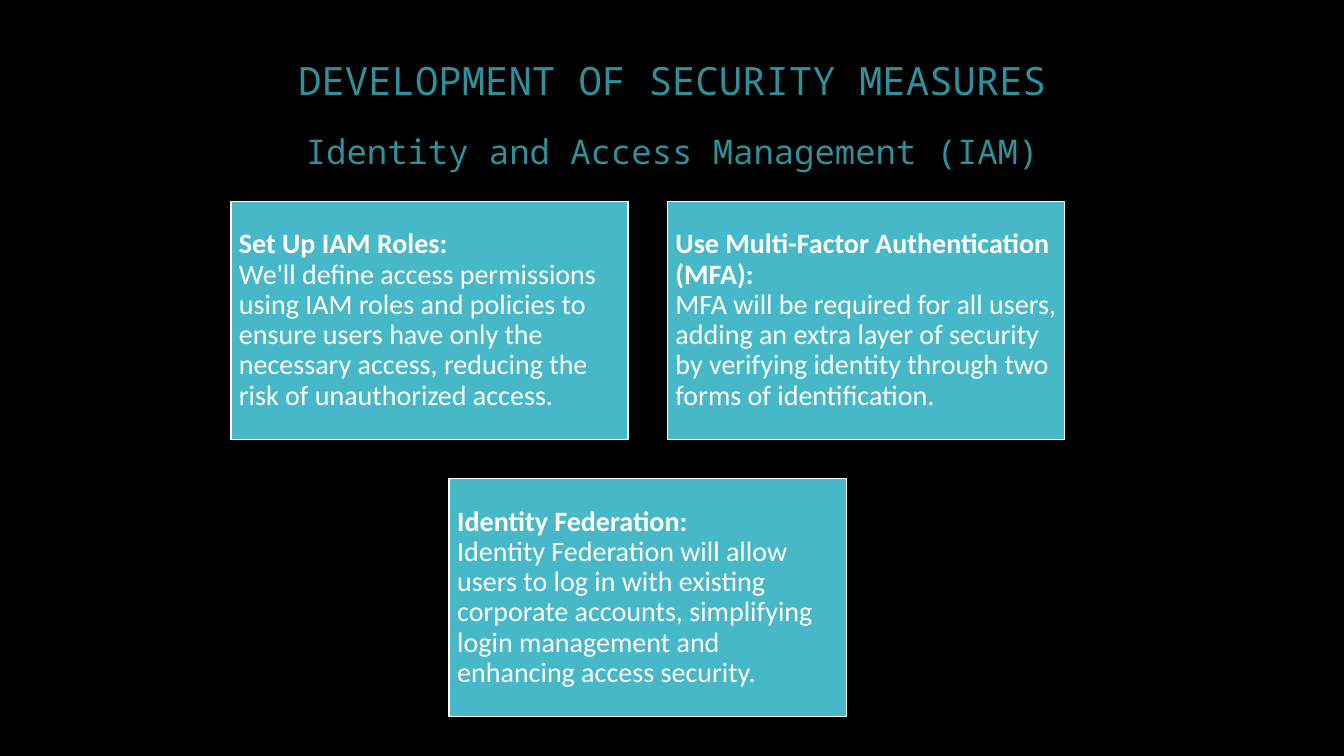
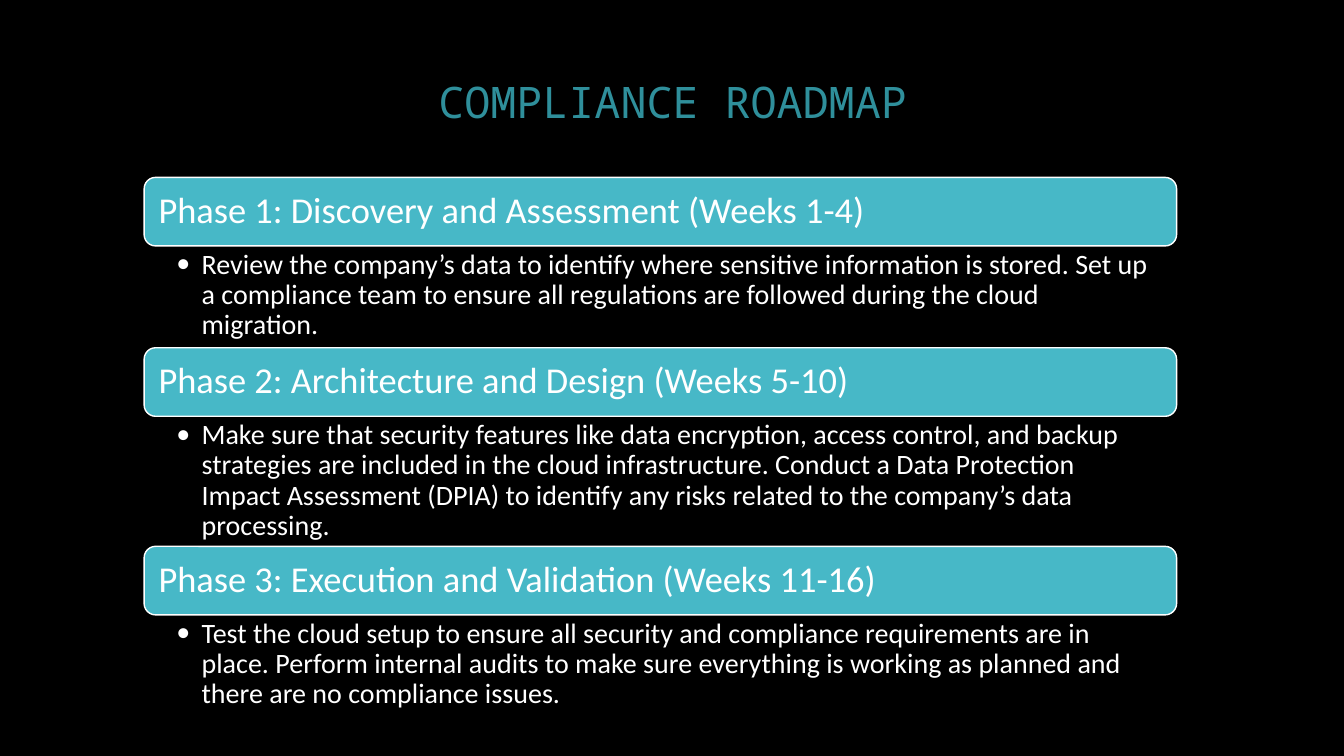
from lxml.etree import SubElement
from pptx import Presentation
from pptx.dml.color import RGBColor
from pptx.enum.shapes import MSO_SHAPE
from pptx.enum.text import MSO_ANCHOR, PP_ALIGN
from pptx.oxml.ns import qn
from pptx.util import Inches, Pt

CARDS = [
    (0, 0, "Set Up IAM Roles:",
     "We'll define access permissions using IAM roles and policies to ensure users have "
     "only the necessary access, reducing the risk of unauthorized access."),
    (1, 0, "Use Multi-Factor Authentication (MFA):",
     "MFA will be required for all users, adding an extra layer of security by verifying "
     "identity through two forms of identification."),
    (0.5, 1, "Identity Federation:",
     "Identity Federation will allow users to log in with existing corporate accounts, "
     "simplifying login management and enhancing access security."),
]
PHASES = [
    ("Phase 1: Discovery and Assessment (Weeks 1-4)", 1.01,
     "Review the company’s data to identify where sensitive information is stored. Set up "
     "a compliance team to ensure all regulations are followed during the cloud migration."),
    ("Phase 2: Architecture and Design (Weeks 5-10)", 1.29,
     "Make sure that security features like data encryption, access control, and backup "
     "strategies are included in the cloud infrastructure. Conduct a Data Protection Impact "
     "Assessment (DPIA) to identify any risks related to the company’s data processing."),
    ("Phase 3: Execution and Validation (Weeks 11-16)", 1.01,
     "Test the cloud setup to ensure all security and compliance requirements are in place. "
     "Perform internal audits to make sure everything is working as planned and there are "
     "no compliance issues."),
]


def color(value):
    return RGBColor.from_string(value)


class Deck:
    """Holds the shared style and the slide being built."""

    BACKGROUND, ACCENT, TITLE, TEXT = "000000", "47B8C7", "2F8F9B", "FFFFFF"
    TITLE_FONT, BODY_FONT = "Noto Sans Mono", "Calibri"

    def __init__(self):
        self.presentation = Presentation()
        self.presentation.slide_width = Inches(13.33)
        self.presentation.slide_height = Inches(7.5)
        fill = self.presentation.slide_master.background.fill
        fill.solid()
        fill.fore_color.rgb = color(self.BACKGROUND)
        self.slide = None

    def add_slide(self):
        self.slide = self.presentation.slides.add_slide(self.presentation.slide_layouts[6])

    def frame(self, shape, insets, anchor):
        text_frame = shape.text_frame
        sides = ("margin_left", "margin_top", "margin_right", "margin_bottom")
        values = dict(zip(sides, map(Inches, insets)))
        values.update(word_wrap=True, vertical_anchor=anchor)
        for name, value in values.items():
            setattr(text_frame, name, value)
        return text_frame

    def format(self, paragraph, **values):
        values = {"alignment": PP_ALIGN.LEFT, "line_spacing": 0.9, **values}
        for name, value in values.items():
            setattr(paragraph, name, value)

    def run(self, paragraph, text, size, **values):
        run = paragraph.add_run()
        run.text = text
        run.font.color.rgb = color(values.pop("fill", self.TEXT))
        values = {"name": self.BODY_FONT, "size": Pt(size), "bold": False, **values}
        for name, value in values.items():
            setattr(run.font, name, value)

    def title(self, lines, bottom=0.05, gap=0):
        box = self.slide.shapes.add_textbox(Inches(1.67), Inches(0.5), Inches(10), Inches(1.25))
        text_frame = self.frame(box, (0.1, 0.05, 0.1, bottom), MSO_ANCHOR.BOTTOM)
        for index, (text, size) in enumerate(lines):
            paragraph = text_frame.add_paragraph() if index else text_frame.paragraphs[0]
            self.format(paragraph, alignment=PP_ALIGN.CENTER, space_before=Pt(gap if index else 0))
            self.run(paragraph, text, size, name=self.TITLE_FONT, fill=self.TITLE)

    def panel(self, kind, left, top, width, height, inset):
        shape = self.slide.shapes.add_shape(
            kind, Inches(left), Inches(top), Inches(width), Inches(height))
        shape.shadow.inherit = False
        shape.fill.solid()
        shape.fill.fore_color.rgb = color(self.ACCENT)
        shape.line.color.rgb = color(self.TEXT)
        shape.line.width = Pt(1)
        paragraph = self.frame(shape, (inset,) * 4, MSO_ANCHOR.MIDDLE).paragraphs[0]
        self.format(paragraph)
        return paragraph

    def card(self, left, top, width, height, heading, text):
        paragraph = self.panel(MSO_SHAPE.RECTANGLE, left, top, width, height, 0.08)
        self.run(paragraph, heading, 20, bold=True)
        paragraph.add_line_break()
        self.run(paragraph, text, 20)

    def phase_bar(self, left, top, width, height, text):
        paragraph = self.panel(MSO_SHAPE.ROUNDED_RECTANGLE, left, top, width, height, 0.11)
        self.run(paragraph, text, 26)

    def bullet(self, left, top, width, height, text):
        box = self.slide.shapes.add_textbox(
            Inches(left), Inches(top), Inches(width), Inches(height))
        text_frame = self.frame(box, (0.32, 0.04, 0.2, 0.04), MSO_ANCHOR.TOP)
        paragraph = text_frame.paragraphs[0]
        self.format(paragraph)
        self.run(paragraph, text, 20)
        properties = paragraph._p.get_or_add_pPr()
        properties.set("marL", str(Inches(0.25)))
        properties.set("indent", str(-Inches(0.25)))
        bullet_color = SubElement(properties, qn("a:buClr"))
        SubElement(bullet_color, qn("a:srgbClr"), val=self.TEXT)
        SubElement(properties, qn("a:buFont"), typeface=self.BODY_FONT)
        SubElement(properties, qn("a:buChar"), char="•")


def build_security(deck):
    deck.add_slide()
    deck.title([("DEVELOPMENT OF SECURITY MEASURES", 27.9),
                ("Identity and Access Management (IAM)", 24.3)], gap=22)
    width, height, gap = 3.94, 2.36, 0.39
    for column, row, heading, text in CARDS:
        left = 2.29 + column * (width + gap)
        top = 2 + row * (height + gap)
        deck.card(left, top, width, height, heading, text)


def build_roadmap(deck):
    deck.add_slide()
    deck.title([("COMPLIANCE ROADMAP", 31)], bottom=0.48)
    left, top, width, bar_height = 1.43, 1.76, 10.24, 0.68
    for heading, text_height, text in PHASES:
        deck.phase_bar(left, top, width, bar_height, heading)
        deck.bullet(left, top + bar_height, width, text_height, text)
        top += bar_height + text_height


def main():
    deck = Deck()
    build_security(deck)
    build_roadmap(deck)
    deck.presentation.save("out.pptx")


if __name__ == "__main__":
    main()
